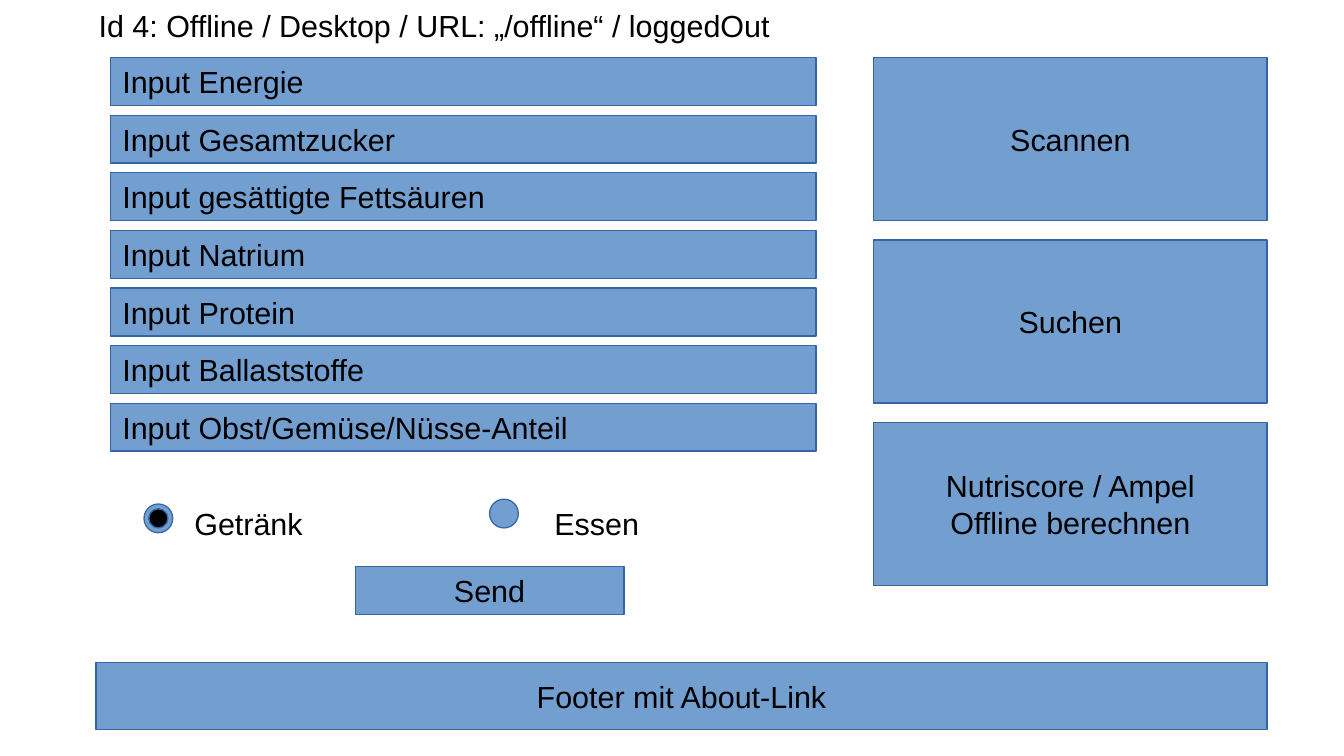
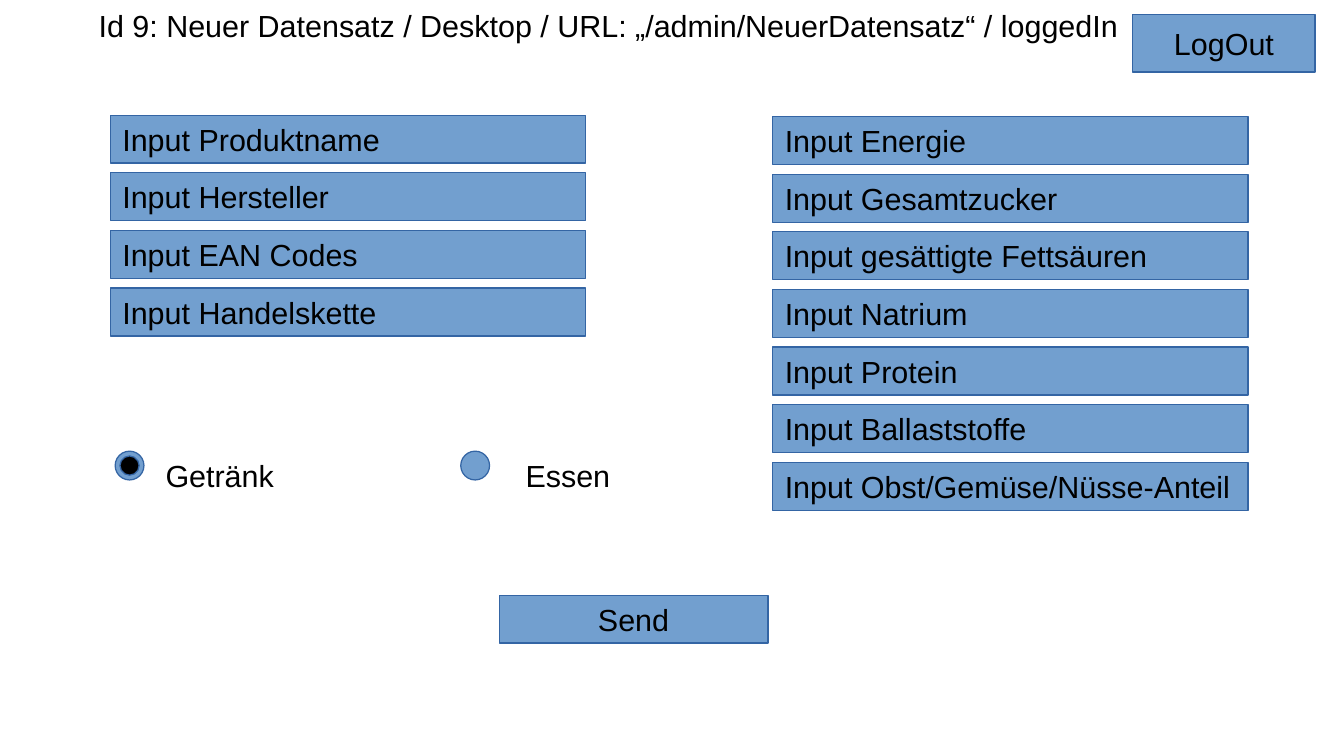
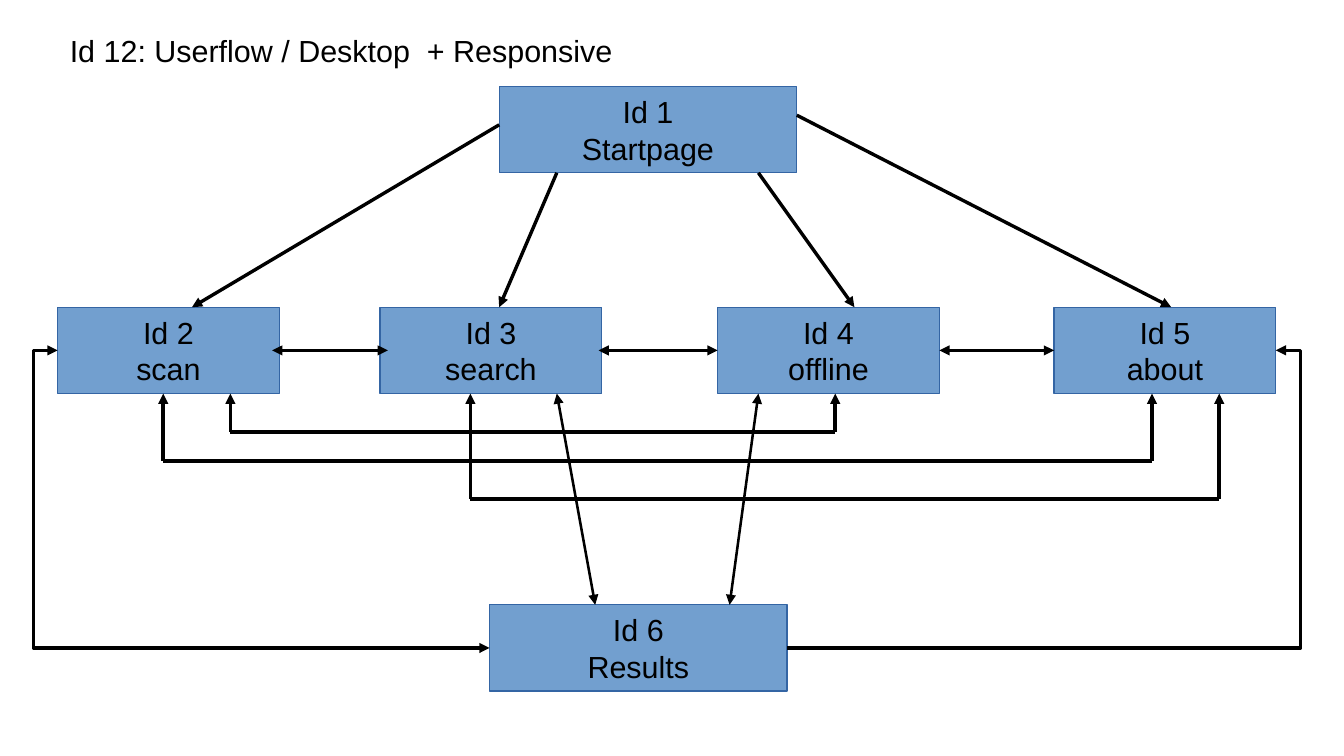
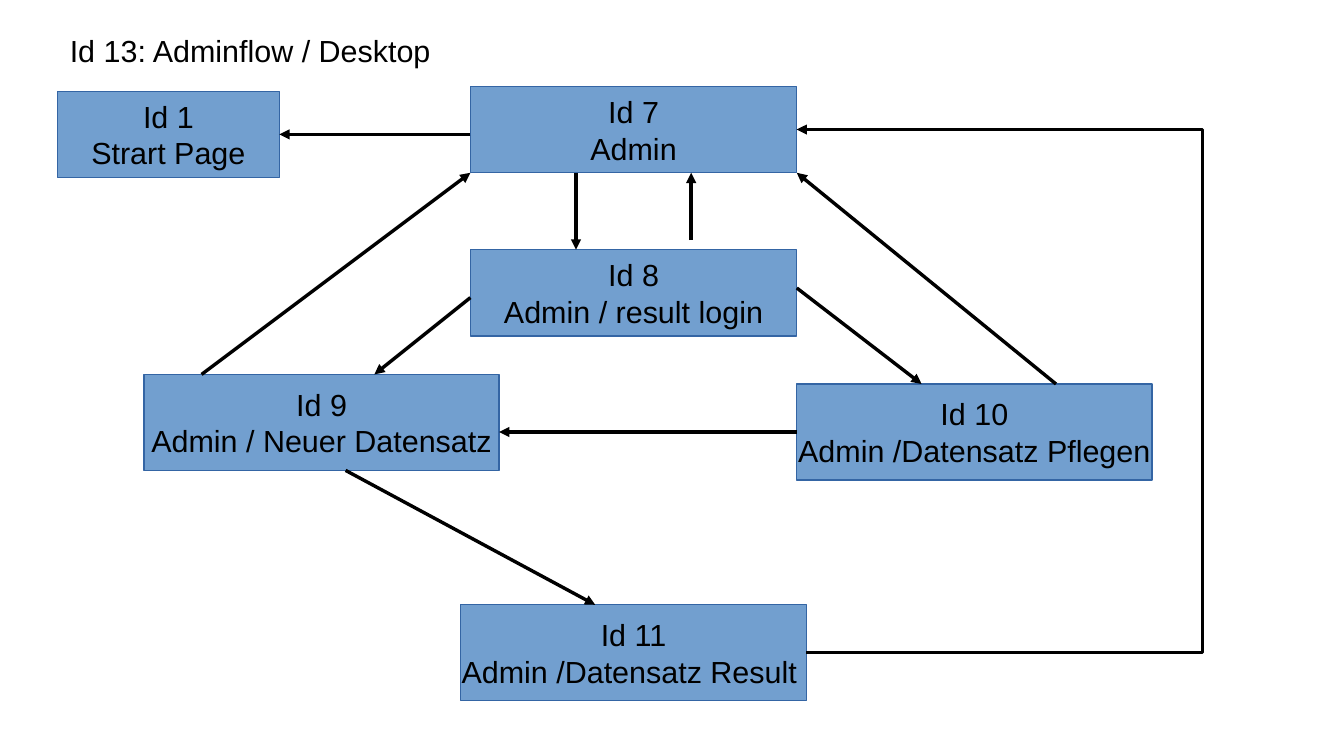
from lxml.etree import SubElement
from pptx import Presentation
from pptx.dml.color import RGBColor
from pptx.enum.shapes import MSO_CONNECTOR as CXN, MSO_SHAPE as SHP
from pptx.enum.text import MSO_ANCHOR as ANC, MSO_AUTO_SIZE as FIT, PP_ALIGN as AL
from pptx.oxml.ns import qn
from pptx.util import Cm, Pt

FILL = RGBColor(0x72, 0x9F, 0xCF)
EDGE = RGBColor(0x34, 0x65, 0xA4)
BLACK = RGBColor(0, 0, 0)
FONT, SIZE = "Arial", Pt(18)
COLS, ROWS = 28, 15.75
TOP, LEFT, BOTTOM, RIGHT = range(4)

prs = Presentation()
prs.slide_width, prs.slide_height = Cm(COLS), Cm(ROWS)
CELL = prs.slide_width / COLS


def put(sp, text, x, y, w, h, align=AL.CENTER, anchor=ANC.MIDDLE, wrap=False):
    sp.left, sp.top, sp.width, sp.height = (round(v * CELL) for v in (x, y, w, h))
    if not sp.is_placeholder and sp.shape_type != 17:
        sp.shadow.inherit = False
        sp.fill.solid()
        sp.fill.fore_color.rgb = FILL
        sp.line.color.rgb = EDGE
        sp.line.width = Pt(0)
    tf = sp.text_frame
    tf.word_wrap, tf.vertical_anchor, tf.auto_size = wrap, anchor, FIT.NONE
    for i, line in enumerate(text.split("\n") if text else []):
        p = tf.add_paragraph() if i else tf.paragraphs[0]
        p.alignment = align
        r = p.add_run()
        r.text = line
        r.font.name, r.font.size, r.font.color.rgb = FONT, SIZE, BLACK
    return sp


def link(s, boxes, a, b, ends="tail", width=0, via=None):
    joined = [isinstance(e[0], str) for e in (a, b)]
    points = [0 if j else round(v * CELL) for e, j in zip((a, b), joined) for v in e]
    c = s.shapes.add_connector(CXN.STRAIGHT if via is None else CXN.ELBOW, *points)
    if joined[0]:
        c.begin_connect(boxes[a[0]], a[1])
    if joined[1]:
        c.end_connect(boxes[b[0]], b[1])
    c.line.color.rgb = BLACK
    c.line.width = Pt(width)
    ln = c.line._get_or_add_ln()
    for end in ends.split():
        SubElement(ln, qn(f"a:{end}End"), type="triangle")
    if via is not None:
        adj = (via * CELL - c.begin_x) / (c.end_x - c.begin_x)
        av = c._element.spPr.find(qn("a:prstGeom")).find(qn("a:avLst"))
        SubElement(av, qn("a:gd"), name="adj1", fmla=f"val {round(adj * 100000)}")
    SubElement(c._element.spPr, qn("a:effectLst"))


titles = [
    ("Id 4: Offline / Desktop / URL: „/offline“ / loggedOut", 1.8, 0.02),
    ("Id 9: Neuer Datensatz / Desktop / URL: „/admin/NeuerDatensatz“ / loggedIn", 1.8, 0.02),
    ("Id 12: Userflow / Desktop  + Responsive", 1.2, 0.53),
    ("Id 13: Adminflow / Desktop", 1.2, 0.53),
]
slides = []
for text, x, y in titles:
    s = prs.slides.add_slide(prs.slide_layouts[5])
    put(s.shapes.title, text, x, y, 24.6, 0.97, AL.LEFT, ANC.TOP, True)
    slides.append(s)

nutrients = ["Energie", "Gesamtzucker", "gesättigte Fettsäuren", "Natrium",
             "Protein", "Ballaststoffe", "Obst/Gemüse/Nüsse-Anteil"]
product = ["Produktname", "Hersteller", "EAN Codes", "Handelskette"]
actions = ["Scannen", "Suchen", "Nutriscore / Ampel\nOffline berechnen"]
forms = [
    ([(nutrients, 2.3, 1.2, 14.7)],
     [(t, 18.2, 1.2 + 3.8 * i, 8.2, 3.4) for i, t in enumerate(actions)]
     + [("Footer mit About-Link", 2, 13.8, 24.4, 1.4), ("Send", 7.4, 11.8, 5.6, 1)],
     (3, 10.4, 0.1)),
    ([(product, 2.3, 2.4, 9.9), (nutrients, 16.1, 2.43, 9.9)],
     [("LogOut", 23.6, 0.3, 3.8, 1.2), ("Send", 10.4, 12.4, 5.6, 1)],
     (2.4, 9.4, 0)),
]
for s, (groups, buttons, (rx, ry, drop)) in zip(slides, forms):
    for names, x, y, w in groups:
        for i, name in enumerate(names):
            sp = s.shapes.add_shape(SHP.RECTANGLE, 0, 0, 0, 0)
            put(sp, "Input " + name, x, y + 1.2 * i, w, 1, AL.LEFT)
    for button in buttons:
        put(s.shapes.add_shape(SHP.RECTANGLE, 0, 0, 0, 0), *button)
    for label, x, y, gap in [("Getränk", rx, ry + drop, 0.8), ("Essen", rx + 7.2, ry, 1.1)]:
        put(s.shapes.add_shape(SHP.OVAL, 0, 0, 0, 0), "", x, y, 0.6, 0.6)
        put(s.shapes.add_textbox(0, 0, 0, 0), label, x + gap, ry, 4.4, 1.55,
            AL.LEFT, ANC.TOP, True)
    dot = put(s.shapes.add_shape(SHP.OVAL, 0, 0, 0, 0), "", rx + 0.1, ry + drop + 0.1, 0.4, 0.4)
    dot.fill.fore_color.rgb = BLACK

BOTH = "head tail"
user_boxes = [
    ("Id 1", "Startpage", 10.4, 1.8, 6.2, 1.8),
    ("Id 2", "scan", 1.2, 6.4, 4.62, 1.8),
    ("Id 3", "search", 7.92, 6.4, 4.62, 1.8),
    ("Id 4", "offline", 14.95, 6.4, 4.62, 1.8),
    ("Id 5", "about", 21.96, 6.4, 4.62, 1.8),
    ("Id 6", "Results", 10.2, 12.6, 6.2, 1.8),
]
user_links = [
    ((16.6, 2.4), (24.4, 6.4)),
    ((15.8, 3.6), (17.8, 6.4)),
    ((11.6, 3.6), (10.4, 6.4)),
    ((10.4, 2.6), (4, 6.4)),
    (("Id 4", RIGHT), ("Id 5", LEFT), BOTH),
    ((12.47, 7.3), ("Id 4", LEFT), BOTH),
    ((5.67, 7.3), (8.08, 7.3), BOTH),
    (("Id 2", LEFT), ("Id 6", LEFT), BOTH, 0, 0.7),
    (("Id 6", RIGHT), ("Id 5", RIGHT), "tail", 0, 27.1),
    ((11.6, 8.2), (12.4, 12.6), BOTH, 1.5),
    ((15.8, 8.2), (15.2, 12.6), BOTH, 1.5),
]
for x1, x2, y in [(4.8, 17.4, 9), (9.8, 25.4, 10.4), (3.4, 24, 9.6)]:
    user_links += [((x1, 8.2), (x1, y), "head"), ((x1, y), (x2, y), ""), ((x2, y), (x2, 8.2))]

admin_boxes = [
    ("Id 7", "Admin", 9.8, 1.8, 6.8, 1.8),
    ("Id 1", "Strart Page", 1.2, 1.9, 4.62, 1.8),
    ("Id 9", "Admin / Neuer Datensatz", 3, 7.8, 7.4, 2),
    ("Id 8", "Admin / result login", 9.8, 5.2, 6.8, 1.8),
    ("Id 11", "Admin /Datensatz Result ", 9.6, 12.6, 7.2, 2),
    ("Id 10", "Admin /Datensatz Pflegen", 16.6, 8, 7.4, 2),
]
admin_links = [
    ((12, 3.6), (12, 5.2)),
    ((9.8, 2.8), ("Id 1", RIGHT)),
    (("Id 11", RIGHT), ("Id 7", RIGHT), "tail", 0, 25.05),
    ((14.4, 5), (14.4, 3.6)),
    ((4.2, 7.8), (9.8, 3.6)),
    ((22, 8), (16.6, 3.6)),
    (("Id 10", LEFT), (10.4, 9)),
    ((7.2, 9.8), (12.4, 12.6)),
    ((16.6, 6), (19.2, 8)),
    ((9.8, 6.2), (7.8, 7.8)),
]
for s, rows, links in [(slides[2], user_boxes, user_links), (slides[3], admin_boxes, admin_links)]:
    boxes = {}
    for key, name, *place in rows:
        sp = s.shapes.add_shape(SHP.RECTANGLE, 0, 0, 0, 0)
        boxes[key] = put(sp, f"{key}\n{name}", *place)
    for args in links:
        link(s, boxes, *args)

prs.save("out.pptx")
